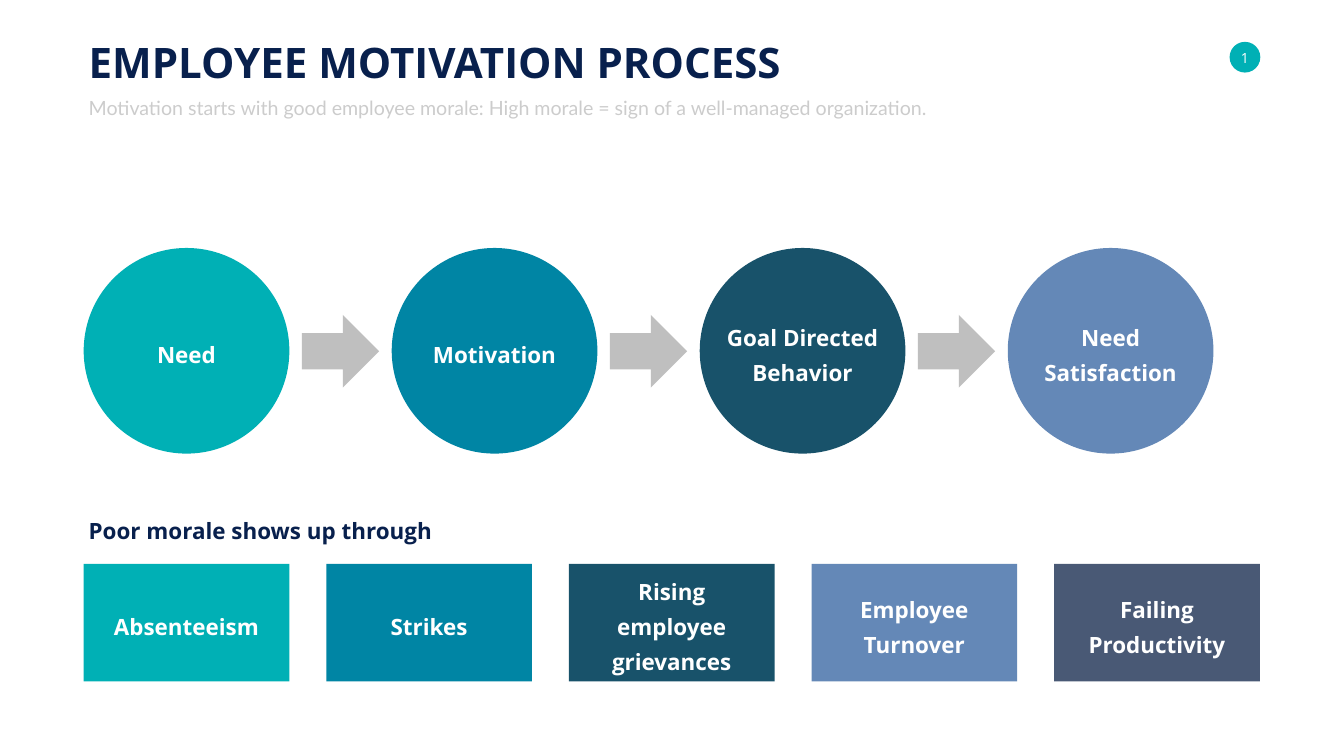
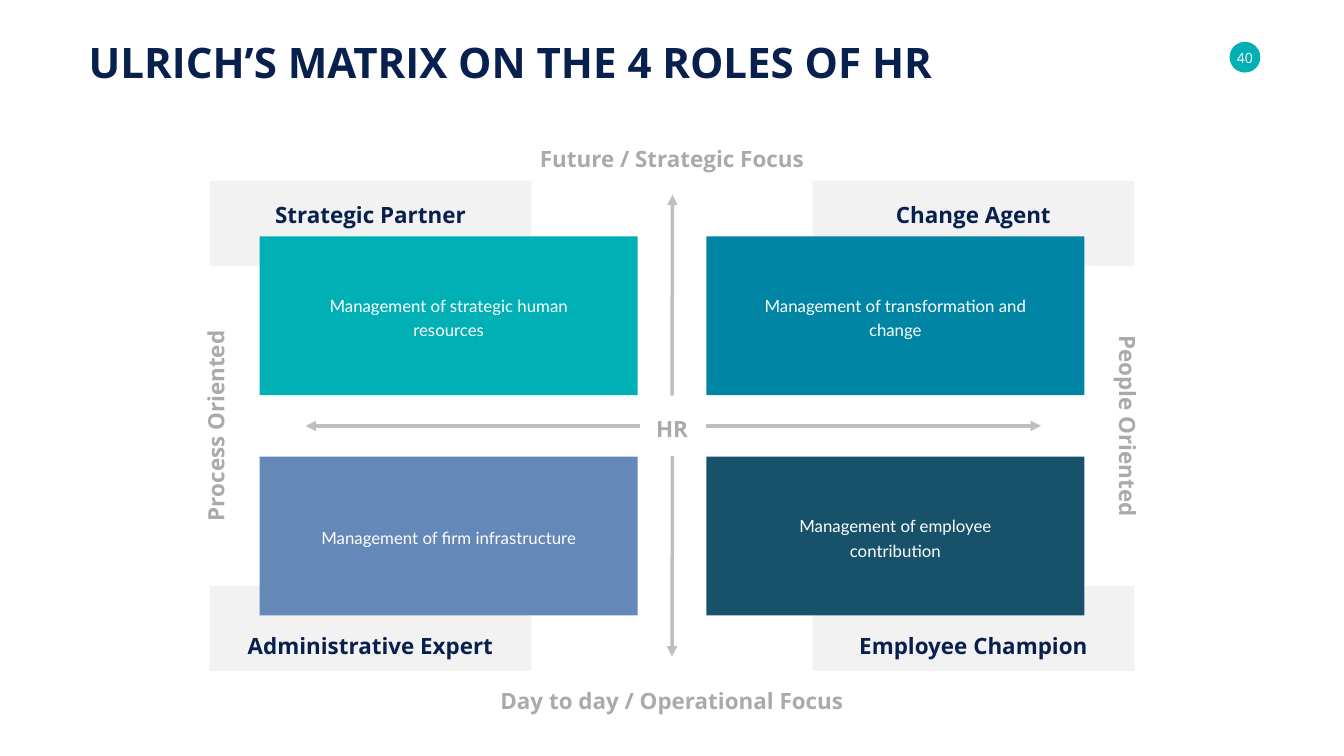
"""Build two slides: the employee motivation process and the matrix of HR roles."""
import pptx
import pptx.dml.color
import pptx.enum.shapes
import pptx.enum.text
import pptx.oxml.ns
import pptx.oxml.xmlchemy
import pptx.util

RGB = pptx.dml.color.RGBColor
SHAPE = pptx.enum.shapes.MSO_SHAPE
ANCHOR = pptx.enum.text.MSO_ANCHOR
ALIGN = pptx.enum.text.PP_ALIGN
AUTO_SIZE = pptx.enum.text.MSO_AUTO_SIZE
Pt = pptx.util.Pt
qn = pptx.oxml.ns.qn
new_element = pptx.oxml.xmlchemy.OxmlElement

TEAL = RGB(0x00, 0xB0, 0xB5)
BLUE = RGB(0x00, 0x85, 0xA4)
DEEP = RGB(0x18, 0x52, 0x6A)
SKY = RGB(0x64, 0x88, 0xB7)
SLATE = RGB(0x49, 0x59, 0x75)
NAVY = RGB(0x08, 0x20, 0x4D)
WHITE = RGB(0xFF, 0xFF, 0xFF)
PALE = RGB(0xF2, 0xF2, 0xF2)
SILVER = RGB(0xCC, 0xCC, 0xCC)
ARROW = RGB(0xBF, 0xBF, 0xBF)
GRAY = RGB(0xAA, 0xAA, 0xAA)

EMU_PER_PX = 9144
WIDTH, HEIGHT = 2666, 1500
LEFT, RIGHT = 166, 2499

HEADING = "Open Sans"
BODY = "Lato"

PROCESS_TITLE = ("EMPLOYEE MOTIVATION PROCESS", 1407, "1")
PROCESS_SUBTITLE = ("Motivation starts with good employee morale: "
                    "High morale = sign of a well-managed organization.")
STEPS = [
    (["Need"], 138, TEAL),
    (["Motivation"], 267, BLUE),
    (["Goal Directed", "Behavior"], 323, DEEP),
    (["Need", "Satisfaction"], 286, SKY),
]
SYMPTOMS_HEADING = "Poor morale shows up through"
SYMPTOMS = [
    (["Absenteeism"], 310, TEAL),
    (["Strikes"], 174, BLUE),
    (["Rising", "employee", "grievances"], 259, DEEP),
    (["Employee", "Turnover"], 237, SKY),
    (["Failing", "Productivity"], 294, SLATE),
]

MATRIX_TITLE = ("ULRICH’S MATRIX ON THE 4 ROLES OF HR", 1711, "40")
ROLES = [
    ("Strategic Partner", 402, "Management of strategic human resources", 2, TEAL, 0, 0),
    ("Change Agent", 330, "Management of transformation and change", 2, BLUE, 1, 0),
    ("Administrative Expert", 511, "Management of firm infrastructure", 1, SKY, 0, 1),
    ("Employee Champion", 477, "Management of employee contribution", 2, DEEP, 1, 1),
]
AXIS_LABELS = [
    ("Day to day / Operational Focus", 1333, 1379, 708, 0, ANCHOR.TOP),
    ("People Oriented", 2243, 845, 383, 90, ANCHOR.BOTTOM),
    ("Process Oriented", 422, 845, 402, 270, ANCHOR.BOTTOM),
    ("Future / Strategic Focus", 1333, 310, 549, 0, ANCHOR.BOTTOM),
    ("HR", 1333, 845, 84, 0, ANCHOR.BOTTOM),
]
AXES = [
    ((1401, 845), (2065, 845), "tailEnd"),
    ((606, 845), (1269, 845), "headEnd"),
    ((1334, 905), (1333, 1303), "tailEnd"),
    ((1334, 386), (1333, 785), "headEnd"),
]


def px(*lengths):
    return [round(length * EMU_PER_PX) for length in lengths]


def add_block(slide, kind, box, color):
    block = slide.shapes.add_shape(kind, *px(*box))
    block.shadow.inherit = False
    block.fill.solid()
    block.fill.fore_color.rgb = color
    block.line.fill.background()


def write(frame, lines, size, color, font=HEADING, bold=False, align=ALIGN.CENTER,
          anchor=ANCHOR.MIDDLE, spacing=None, wrap=False):
    frame.word_wrap = wrap
    frame.auto_size = AUTO_SIZE.SHAPE_TO_FIT_TEXT
    frame.vertical_anchor = anchor
    for number, line in enumerate(lines):
        paragraph = frame.add_paragraph() if number else frame.paragraphs[0]
        paragraph.text = line
        paragraph.alignment = align
        if spacing:
            paragraph.line_spacing = Pt(spacing)
        paragraph.font.name = font
        paragraph.font.size = Pt(size)
        paragraph.font.bold = bold
        paragraph.font.color.rgb = color


def add_text(slide, box, lines, size, color, **style):
    label = slide.shapes.add_textbox(*px(*box))
    write(label.text_frame, lines, size, color, **style)
    return label


def add_label(slide, lines, center_x, center_y, width, color, **style):
    height = 4 + 70 * len(lines)
    box = (center_x - width / 2, center_y - height / 2, width, height)
    return add_text(slide, box, lines, 32, color, bold=True, spacing=50, **style)


def add_titled_slide(deck, title, title_width, number):
    slide = deck.slides.add_slide(deck.slide_layouts[5])
    add_block(slide, SHAPE.OVAL, (2439, 83, 61, 61), TEAL)
    page = add_text(slide, (2452, 97, 35, 34), [number], 20, WHITE)
    frame = page.text_frame
    frame.margin_left = frame.margin_right = frame.margin_top = frame.margin_bottom = 0
    heading = slide.shapes.title
    heading.left, heading.top, heading.width, heading.height = px(LEFT, 67, title_width, 111)
    write(heading.text_frame, [title], 60, NAVY, bold=True, align=ALIGN.LEFT, anchor=ANCHOR.TOP)
    return slide


def add_axis(slide, start, end, arrow_end):
    axis = slide.shapes.add_connector(
        pptx.enum.shapes.MSO_CONNECTOR.STRAIGHT, *px(*start, *end))
    axis.line.color.rgb = ARROW
    axis.line.width = Pt(5)
    properties = axis._element.spPr
    tip = new_element(f"a:{arrow_end}")
    tip.set("type", "triangle")
    properties.find(qn("a:ln")).append(tip)
    properties.append(new_element("a:effectLst"))


def build_process(deck):
    slide = add_titled_slide(deck, *PROCESS_TITLE)
    add_text(slide, (LEFT, 184, 1705, 55), [PROCESS_SUBTITLE], 28, SILVER, font=BODY,
             align=ALIGN.LEFT, anchor=ANCHOR.TOP, spacing=35)

    size, step_top, step_pitch = 408, 492, 611
    for index, (lines, width, color) in enumerate(STEPS):
        left = LEFT + index * step_pitch
        add_block(slide, SHAPE.OVAL, (left, step_top, size, size), color)
        add_label(slide, lines, left + size / 2, step_top + size / 2, width, WHITE)
        if index < len(STEPS) - 1:
            add_block(slide, SHAPE.RIGHT_ARROW, (left + size + 25, 625, 153, 144), ARROW)

    add_text(slide, (LEFT, 1008, 708, 74), [SYMPTOMS_HEADING], 32, NAVY, bold=True,
             align=ALIGN.LEFT, spacing=50)
    symptom_top, symptom_height = 1119, 233
    symptom_pitch = (RIGHT - LEFT - size) / (len(SYMPTOMS) - 1)
    for index, (lines, width, color) in enumerate(SYMPTOMS):
        left = LEFT + index * symptom_pitch
        add_block(slide, SHAPE.RECTANGLE, (left, symptom_top, size, symptom_height), color)
        add_label(slide, lines, left + size / 2, symptom_top + symptom_height / 2, width, WHITE)


def build_matrix(deck):
    slide = add_titled_slide(deck, *MATRIX_TITLE)
    corner_width, corner_height = 638, 168
    card_width, card_height = 750, 315
    corner_lefts, corner_tops = (416, 1612), (359, 1163)
    card_lefts, card_tops = (515, 1401), (469, 906)
    role_centers = (417, 1273)

    for role, role_width, duty, duty_lines, color, column, row in ROLES:
        corner_left, card_left, card_top = corner_lefts[column], card_lefts[column], card_tops[row]
        add_block(slide, SHAPE.RECTANGLE,
                  (corner_left, corner_tops[row], corner_width, corner_height), PALE)
        add_block(slide, SHAPE.RECTANGLE, (card_left, card_top, card_width, card_height), color)
        add_label(slide, [role], corner_left + corner_width / 2, role_centers[row],
                  role_width, NAVY)
        duty_width, duty_height = 553, 5 + 49 * duty_lines
        add_text(slide, (card_left + (card_width - duty_width) / 2,
                         card_top + (card_height - duty_height) / 2, duty_width, duty_height),
                 [duty], 24, WHITE, font=BODY, spacing=35, wrap=True)

    for text, center_x, center_y, width, rotation, anchor in AXIS_LABELS:
        label = add_label(slide, [text], center_x, center_y, width, GRAY, anchor=anchor)
        label.rotation = rotation
    for start, end, arrow_end in AXES:
        add_axis(slide, start, end, arrow_end)


def main():
    deck = pptx.Presentation()
    deck.slide_width, deck.slide_height = px(WIDTH, HEIGHT)
    build_process(deck)
    build_matrix(deck)
    deck.save("out.pptx")


if __name__ == "__main__":
    main()
